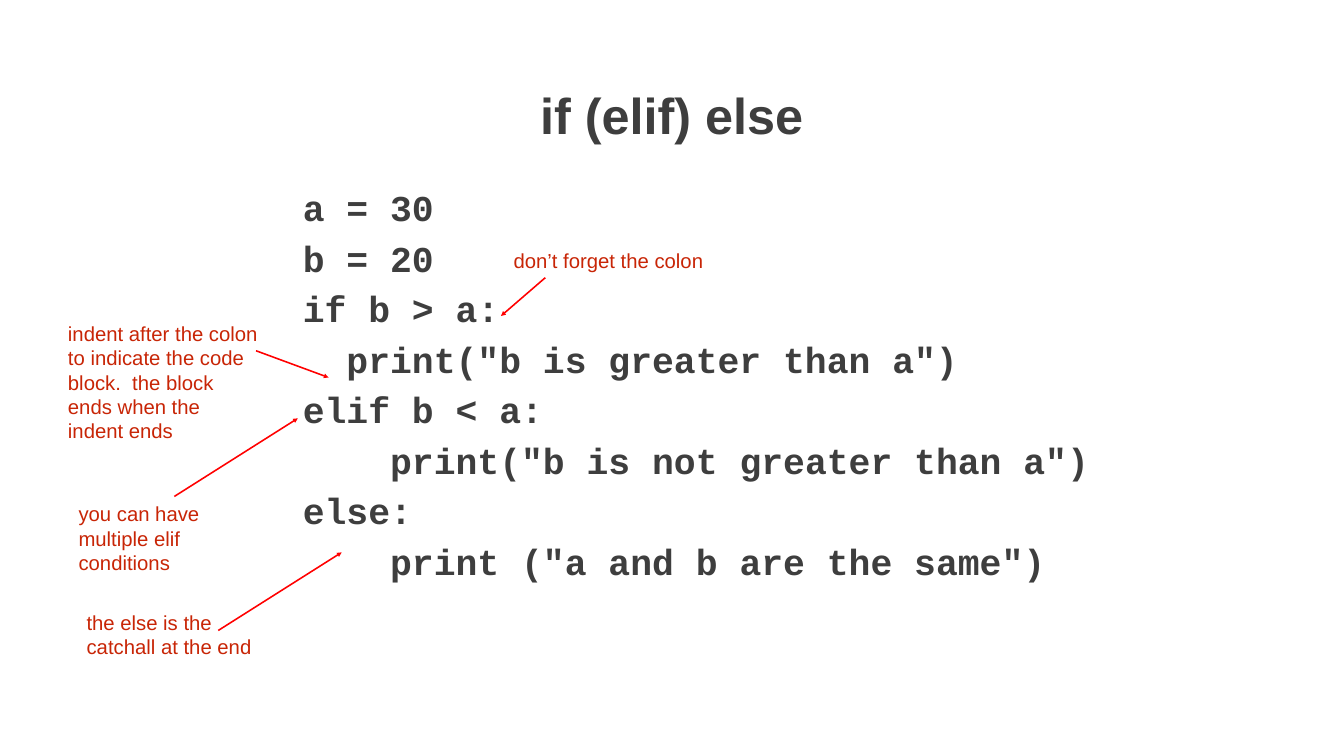
from lxml.etree import SubElement
from pptx import Presentation
from pptx.dml.color import RGBColor
from pptx.enum.shapes import MSO_CONNECTOR as Connector
from pptx.enum.text import MSO_ANCHOR as Anchor, MSO_AUTO_SIZE as AutoSize, PP_ALIGN as Align
from pptx.oxml.ns import qn
from pptx.util import Pt

COLORS = {"ink": "3E3E3E", "note": "C82506", "arrow": "FF0000"}
TITLE = "if (elif) else"
CODE = [
    (0, "a = 30"),
    (0, "b = 20"),
    (0, "if b > a:"),
    (2, 'print("b is greater than a")'),
    (0, "elif b < a:"),
    (4, 'print("b is not greater than a")'),
    (0, "else:"),
    (4, 'print ("a and b are the same")'),
]
NOTES = [
    {"lines": ["don’t forget the colon"],
     "at": (726.5, 347.8), "height": 49.7, "arrow": (779, 396.7, 715.7, 451.4)},
    {"lines": ["indent after the colon",
               "to indicate the code block.  the block ends when the indent ends"],
     "at": (90, 451.4), "height": 190, "arrow": (365.8, 501.1, 469.4, 539.3)},
    {"lines": ["you can have multiple elif conditions"],
     "at": (105.1, 709.2), "height": 120.2, "arrow": (249.1, 709.2, 425.5, 597.6)},
    {"lines": ["the else is the catchall at the end"],
     "at": (116.6, 864), "height": 85, "arrow": (311.8, 900.7, 488.2, 789.1)},
]
NOTE_WIDTH = 288.7
CODE_SIZE = 52
CHAR_WIDTH = CODE_SIZE * 0.6
INSET = 7.2


def add_text(slide, box, lines, font, size, color, bold=False):
    frame = slide.shapes.add_textbox(*map(Pt, box)).text_frame
    frame.word_wrap = True
    frame.margin_left = frame.margin_right = Pt(INSET)
    frame.margin_top = frame.margin_bottom = Pt(INSET)
    frame.text = "\n".join(lines)
    for paragraph in frame.paragraphs:
        for run in paragraph.runs:
            run.font.name = font
            run.font.size = Pt(size)
            run.font.bold = bold
            run.font.color.rgb = RGBColor.from_string(COLORS[color])
    return frame


def add_arrow(slide, ends):
    arrow = slide.shapes.add_connector(Connector.STRAIGHT, *map(Pt, ends))
    arrow.line.color.rgb = RGBColor.from_string(COLORS["arrow"])
    arrow.line.width = Pt(2.25)
    SubElement(arrow.line._get_or_add_ln(), qn("a:tailEnd"), type="triangle")
    SubElement(arrow._element.spPr, qn("a:effectLst"))


def main():
    deck = Presentation()
    deck.slide_width, deck.slide_height = Pt(1920), Pt(1080)
    slide = deck.slides.add_slide(deck.slide_layouts[6])

    title = add_text(slide, (207.4, 97.2, 1504.8, 131.8), [TITLE], "Arial", 72, "ink", True)
    title.vertical_anchor = Anchor.MIDDLE
    title.paragraphs[0].alignment = Align.CENTER

    code = add_text(slide, (425.5, 265, 1476.7, 666), [line for _, line in CODE],
                    "Courier New", CODE_SIZE, "ink", True)
    for paragraph, (indent, _) in zip(code.paragraphs, CODE):
        paragraph.line_spacing = 0.9
        paragraph.space_before = Pt(16)
        paragraph._p.get_or_add_pPr().set("marL", str(Pt(indent * CHAR_WIDTH)))

    for note in NOTES:
        box = (*note["at"], NOTE_WIDTH, note["height"])
        frame = add_text(slide, box, note["lines"], "Arial", 29, "note")
        frame.auto_size = AutoSize.SHAPE_TO_FIT_TEXT
        add_arrow(slide, note["arrow"])

    deck.save("out.pptx")


if __name__ == "__main__":
    main()
